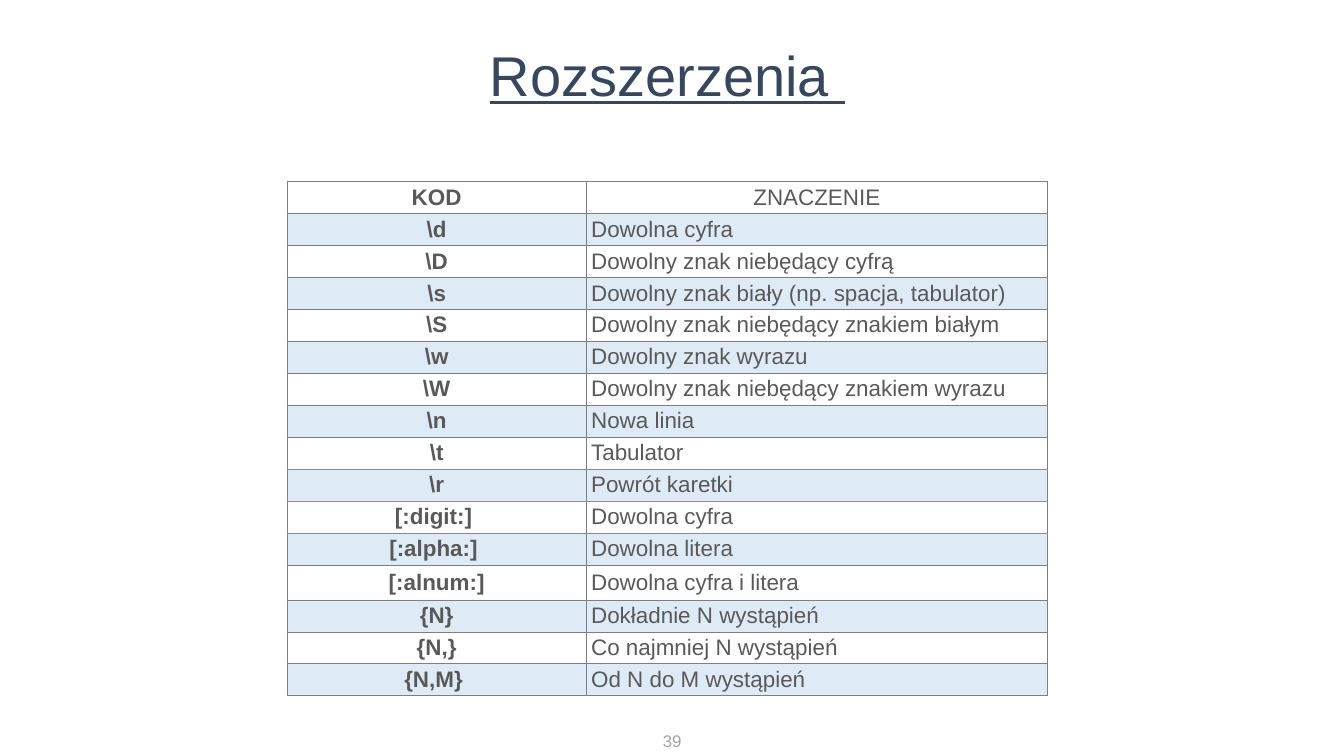
from lxml.etree import SubElement
from pptx import Presentation
from pptx.dml.color import RGBColor
from pptx.enum.text import MSO_ANCHOR, PP_ALIGN
from pptx.oxml.ns import qn
from pptx.util import Inches, Pt

# Content
TITLE = "Rozszerzenia "
PAGE_NUMBER = "39"
ROWS = [
    ("KOD", "ZNACZENIE"),
    (r"\d", "Dowolna cyfra"),
    (r"\D", "Dowolny znak niebędący cyfrą"),
    (r"\s", "Dowolny znak biały (np. spacja, tabulator)"),
    (r"\S", "Dowolny znak niebędący znakiem białym"),
    (r"\w", "Dowolny znak wyrazu"),
    (r"\W", "Dowolny znak niebędący znakiem wyrazu"),
    (r"\n", "Nowa linia"),
    (r"\t", "Tabulator"),
    (r"\r", "Powrót karetki"),
    ("[:digit:] ", "Dowolna cyfra"),
    ("[:alpha:] ", "Dowolna litera"),
    ("[:alnum:]", "Dowolna cyfra i litera"),
    ("{N}", "Dokładnie N wystąpień"),
    ("{N,}", "Co najmniej N wystąpień"),
    ("{N,M} ", "Od N do M wystąpień"),
]

# Style and layout
FONT = "Arial"
NAVY = RGBColor(0x37, 0x47, 0x5D)
TEXT_GRAY = RGBColor(0x59, 0x59, 0x59)
NUMBER_GRAY = RGBColor(0xA4, 0xA4, 0xA4)
BLUE = RGBColor(0x5B, 0x9B, 0xD5)
LINE_GRAY = RGBColor(0x7F, 0x7F, 0x7F)
BAND_OPACITY = 20
TABLE_LEFT, TABLE_TOP, TABLE_HEIGHT = 5.7, 3.6, 10.2
COLUMN_WIDTHS = (5.93, 9.16)
TALL_ROWS = {11: 0.65, 12: 0.68}
BLUE_RULES = (9, 10, 11)  # rows with a blue line above


def style(para, size, color, align, bold=False):
    para.alignment = align
    para.font.name = FONT
    para.font.size = Pt(size)
    para.font.bold = bold
    para.font.color.rgb = color


def add_text(page, text, area, size, color):
    box = page.shapes.add_textbox(*(Inches(length) for length in area))
    frame = box.text_frame
    frame.vertical_anchor = MSO_ANCHOR.MIDDLE
    frame.text = text
    style(frame.paragraphs[0], size, color, PP_ALIGN.CENTER)
    return frame


def add_border(properties, side, color):
    line = SubElement(properties, qn("a:" + side), w=str(Pt(1)))
    fill = SubElement(line, qn("a:solidFill"))
    SubElement(fill, qn("a:srgbClr"), val=str(color))


def format_cell(cell, row, column):
    # Borders come before the fill in the cell properties
    properties = cell._tc.get_or_add_tcPr()
    for side, color in (
        ("lnL", LINE_GRAY),
        ("lnR", LINE_GRAY),
        ("lnT", BLUE if row in BLUE_RULES else LINE_GRAY),
        ("lnB", BLUE if row + 1 in BLUE_RULES else LINE_GRAY),
    ):
        add_border(properties, side, color)

    if row % 2:
        cell.fill.solid()
        cell.fill.fore_color.rgb = BLUE
        tint = properties.find(qn("a:solidFill")).find(qn("a:srgbClr"))
        SubElement(tint, qn("a:alpha"), val=str(BAND_OPACITY * 1000))
    else:
        cell.fill.background()

    cell.vertical_anchor = MSO_ANCHOR.MIDDLE
    centred = row == 0 or column == 0
    style(cell.text_frame.paragraphs[0], 32, TEXT_GRAY,
          PP_ALIGN.CENTER if centred else PP_ALIGN.LEFT, bold=column == 0)


def add_code_table(page):
    table = page.shapes.add_table(
        len(ROWS), len(COLUMN_WIDTHS), Inches(TABLE_LEFT), Inches(TABLE_TOP),
        Inches(sum(COLUMN_WIDTHS)), Inches(TABLE_HEIGHT)).table
    table.first_row = table.horz_banding = False
    for column, width in zip(table.columns, COLUMN_WIDTHS):
        column.width = Inches(width)
    plain_height = ((TABLE_HEIGHT - sum(TALL_ROWS.values()))
                    / (len(ROWS) - len(TALL_ROWS)))
    for r, texts in enumerate(ROWS):
        table.rows[r].height = Inches(TALL_ROWS.get(r, plain_height))
        for c, text in enumerate(texts):
            cell = table.cell(r, c)
            cell.text = text
            format_cell(cell, r, c)


def main():
    deck = Presentation()
    deck.slide_width, deck.slide_height = Inches(26.67), Inches(15)
    page = deck.slides.add_slide(deck.slide_layouts[6])

    # Page number
    number = add_text(page, PAGE_NUMBER, (13.11, 14.44, 0.46, 0.5), 24, NUMBER_GRAY)
    number.margin_left = number.margin_right = 0
    number.margin_top = number.margin_bottom = 0
    number.word_wrap = False

    # Title
    title = add_text(page, TITLE, (3, 0.8, 20.48, 1.36), 80, NAVY)
    title.word_wrap = True
    title.paragraphs[0].font.underline = True

    add_code_table(page)
    deck.save("out.pptx")


if __name__ == "__main__":
    main()
